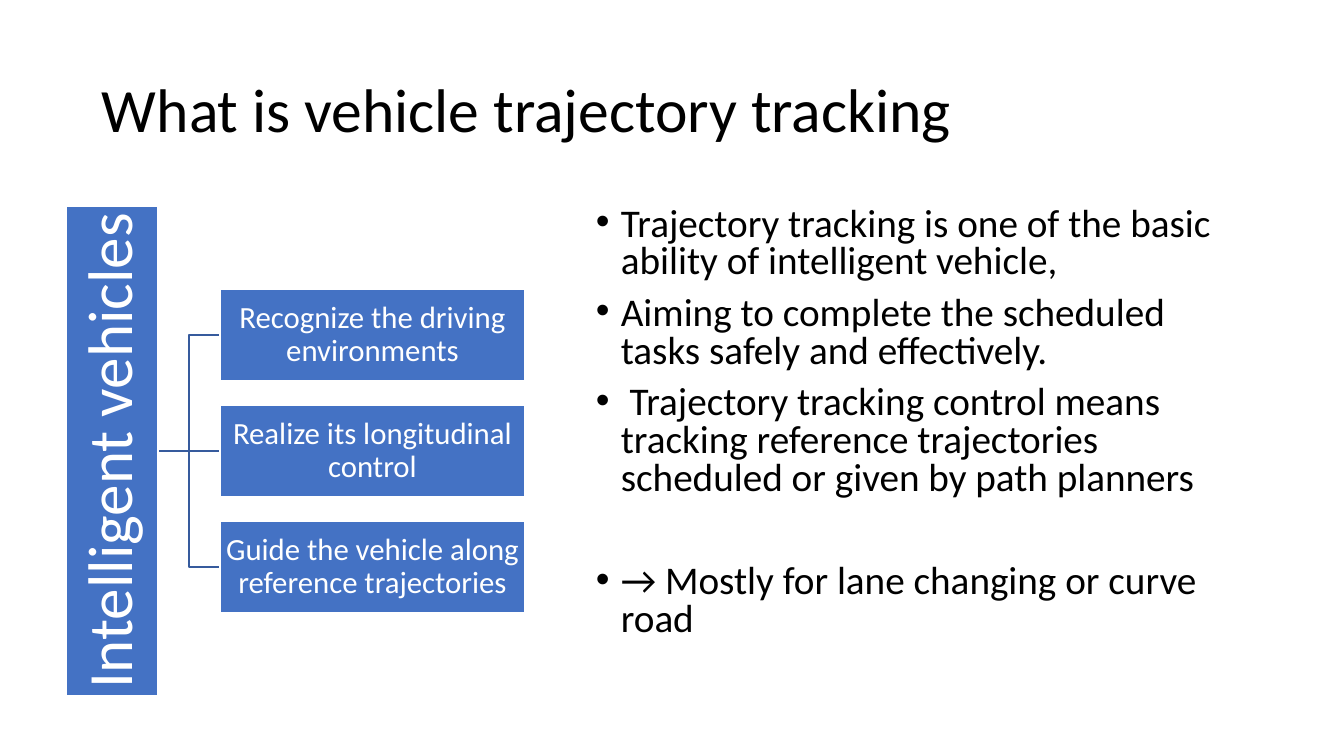
"""Build the slide that explains vehicle trajectory tracking."""
import lxml.etree
import pptx
import pptx.dml.color
import pptx.enum.shapes
import pptx.enum.text
import pptx.oxml.ns
import pptx.util

COLORS = {"text": "000000", "box": "4472C4", "light": "FFFFFF", "branch": "365B9D"}
EMU_PER_PIXEL = 914400 / 100.8
BOX_HEIGHT = 92
STEP_LEFT, STEP_TOP, STEP_PITCH, STEP_WIDTH = 220, 289, 116, 305
STEM_CENTER_X, STEM_LENGTH = 112, 490


def px(pixels):
    return pptx.util.Emu(round(pixels * EMU_PER_PIXEL))


def rgb(name):
    return pptx.dml.color.RGBColor.from_string(COLORS[name])


def write(paragraph, text, size, color="text", align="LEFT", spacing=0.9, before=0, bullet=None):
    paragraph.alignment = getattr(pptx.enum.text.PP_ALIGN, align)
    paragraph.line_spacing = spacing
    paragraph.space_before = pptx.util.Pt(before)
    run = paragraph.add_run()
    run.text = text
    run.font.name = "Calibri"
    run.font.size = pptx.util.Pt(size)
    run.font.color.rgb = rgb(color)
    if bullet:
        properties = paragraph._p.get_or_add_pPr()
        properties.set("marL", str(px(25)))
        properties.set("indent", str(-px(25)))
        for tag, key, value in (("a:buFont", "typeface", "Arial"), ("a:buChar", "char", bullet)):
            lxml.etree.SubElement(properties, pptx.oxml.ns.qn(tag)).set(key, value)


class SlideBuilder:
    """Hold the style and the current slide."""

    def __init__(self, slide):
        self.slide = slide

    def frame(self, shape, inset=None, anchor="MIDDLE"):
        frame = shape.text_frame
        frame.word_wrap = True
        frame.vertical_anchor = getattr(pptx.enum.text.MSO_ANCHOR, anchor)
        if inset is not None:
            frame.margin_left = frame.margin_right = px(inset)
            frame.margin_top = frame.margin_bottom = px(inset)
        return frame

    def text(self, left, top, width, height, paragraphs, anchor="MIDDLE", **style):
        area = self.slide.shapes.add_textbox(px(left), px(top), px(width), px(height))
        frame = self.frame(area, anchor=anchor)
        for index, (content, before) in enumerate(paragraphs):
            paragraph = frame.add_paragraph() if index else frame.paragraphs[0]
            write(paragraph, content, before=before, **style)

    def box(self, left, top, width, content, size, inset, rotation=0):
        box = self.slide.shapes.add_shape(
            pptx.enum.shapes.MSO_SHAPE.RECTANGLE, px(left), px(top), px(width), px(BOX_HEIGHT))
        box.rotation = rotation
        box.shadow.inherit = False
        box.fill.solid()
        box.fill.fore_color.rgb = rgb("box")
        box.line.color.rgb = rgb("light")
        box.line.width = pptx.util.Pt(1)
        paragraph = self.frame(box, inset).paragraphs[0]
        write(paragraph, content, size, color="light", align="CENTER")

    def branch(self, start_x, start_y, end_x, end_y):
        kind = "STRAIGHT" if start_y == end_y else "ELBOW"
        branch = self.slide.shapes.add_connector(
            getattr(pptx.enum.shapes.MSO_CONNECTOR, kind),
            px(start_x), px(start_y), px(end_x), px(end_y))
        branch.line.color.rgb = rgb("branch")
        branch.line.width = pptx.util.Pt(1)
        lxml.etree.SubElement(branch._element.spPr, pptx.oxml.ns.qn("a:effectLst"))


presentation = pptx.Presentation()
presentation.slide_width, presentation.slide_height = px(1344), px(756)
builder = SlideBuilder(presentation.slides.add_slide(presentation.slide_layouts[6]))

builder.text(92, 40, 1159, 146, [("What is vehicle trajectory tracking", 0)], size=44)

explanation = [
    ("Trajectory tracking is one of the basic ability of intelligent vehicle,", 10),
    ("Aiming to complete the scheduled tasks safely and effectively.", 10),
    (" Trajectory tracking control means tracking reference trajectories "
     "scheduled or given by path planners", 10),
    ("→ Mostly for lane changing or curve road", 47),
]
builder.text(586, 202, 666, 480, explanation, anchor="TOP", size=28, spacing=0.8, bullet="•")

steps = [
    "Recognize the driving environments",
    "Realize its longitudinal control",
    "Guide the vehicle along reference trajectories",
]
step_tops = [STEP_TOP + index * STEP_PITCH for index in range(len(steps))]
stem_top = step_tops[1]
for step_top in step_tops:
    builder.branch(STEM_CENTER_X + BOX_HEIGHT // 2, stem_top + BOX_HEIGHT // 2,
                   STEP_LEFT, step_top + BOX_HEIGHT // 2)
builder.box(STEM_CENTER_X - STEM_LENGTH // 2, stem_top, STEM_LENGTH,
            "Intelligent vehicles", 45, inset=3, rotation=270)
for step, step_top in zip(steps, step_tops):
    builder.box(STEP_LEFT, step_top, STEP_WIDTH, step, 22, inset=2)

presentation.save("out.pptx")
